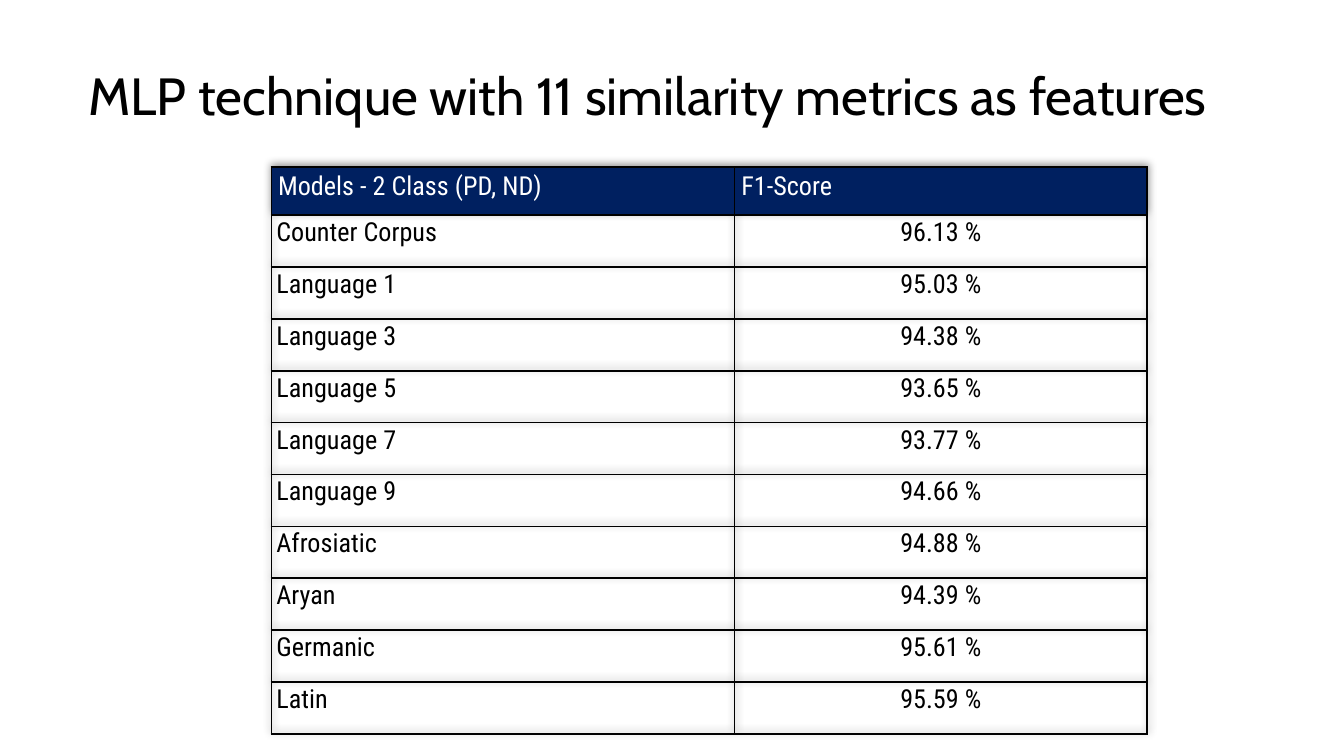
from lxml import etree
from pptx import Presentation
from pptx.dml.color import RGBColor
from pptx.enum.text import MSO_ANCHOR as Anchor, PP_ALIGN as Align
from pptx.oxml import parse_xml
from pptx.oxml.ns import nsdecls, qn
from pptx.util import Pt

BLACK = RGBColor(0x00, 0x00, 0x00)
WHITE = RGBColor(0xFF, 0xFF, 0xFF)
NAVY = RGBColor(0x00, 0x20, 0x60)

HEADER = ("Models - 2 Class (PD, ND)", "F1-Score")
SCORES = (
    ("Counter Corpus", "96.13 %"),
    ("Language 1", "95.03 %"),
    ("Language 3", "94.38 %"),
    ("Language 5", "93.65 %"),
    ("Language 7", "93.77 %"),
    ("Language 9", "94.66 %"),
    ("Afrosiatic", "94.88 %"),
    ("Aryan", "94.39 %"),
    ("Germanic", "95.61 %"),
    ("Latin", "95.59 %"),
)


class ScoreSlide:
    """Holds the style and the current slide, and draws each kind of element."""

    title_font = {"name": "Cabin", "size": Pt(28)}
    table_font = {"name": "Roboto Condensed", "size": Pt(14)}
    header_margins = {"margin_left": Pt(3.6), "margin_right": Pt(3.6),
                      "margin_top": Pt(2.2), "margin_bottom": Pt(2.2)}
    body_margins = {"margin_left": Pt(2.7), "margin_right": Pt(2.7),
                    "margin_top": Pt(0), "margin_bottom": Pt(0)}

    def __init__(self, presentation):
        self.slide = presentation.slides.add_slide(presentation.slide_layouts[6])

    def apply(self, target, values):
        for name, value in values.items():
            setattr(target, name, value)

    def fill_paragraph(self, paragraph, text, font, color, **layout):
        paragraph.text = text
        self.apply(paragraph, layout)
        self.apply(paragraph.font, font)
        paragraph.font.color.rgb = color

    def title(self, text, left, top, width, height):
        box = self.slide.shapes.add_textbox(Pt(left), Pt(top), Pt(width), Pt(height))
        margins = {f"margin_{side}": Pt(7.2) for side in ("left", "right", "top", "bottom")}
        self.apply(box.text_frame, {"word_wrap": True, "vertical_anchor": Anchor.MIDDLE, **margins})
        self.fill_paragraph(box.text_frame.paragraphs[0], text, self.title_font, BLACK,
                            alignment=Align.CENTER)

    def border(self, cell):
        properties = cell._tc.get_or_add_tcPr()
        for index, side in enumerate(("lnL", "lnR", "lnT", "lnB")):
            line = etree.Element(qn(f"a:{side}"), w=str(Pt(1)))
            fill = etree.SubElement(line, qn("a:solidFill"))
            etree.SubElement(fill, qn("a:srgbClr"), val=str(BLACK))
            properties.insert(index, line)

    def shadow(self, table):
        table._tbl.tblPr.insert(0, parse_xml(
            f'<a:effectLst {nsdecls("a")}>'
            f'<a:outerShdw blurRad="{Pt(4)}" dist="{Pt(1.5)}" dir="16200000" rotWithShape="0">'
            f'<a:srgbClr val="{BLACK}"><a:alpha val="40000"/></a:srgbClr>'
            '</a:outerShdw></a:effectLst>'))

    def header_cell(self, cell, text):
        cell.fill.solid()
        cell.fill.fore_color.rgb = NAVY
        self.apply(cell, self.header_margins)
        self.fill_paragraph(cell.text_frame.paragraphs[0], text, self.table_font, WHITE,
                            alignment=Align.JUSTIFY)

    def body_cell(self, cell, text, alignment):
        cell.fill.background()
        self.apply(cell, self.body_margins)
        self.fill_paragraph(cell.text_frame.paragraphs[0], text, self.table_font, BLACK,
                            alignment=alignment, line_spacing=1.07)

    def table(self, header, rows, left, top, widths, header_height, row_height):
        height = header_height + row_height * len(rows)
        table = self.slide.shapes.add_table(
            len(rows) + 1, len(widths), Pt(left), Pt(top), Pt(sum(widths)), Pt(height)).table
        self.apply(table, {"first_row": False, "horz_banding": False})
        for column, width in zip(table.columns, widths):
            column.width = Pt(width)
        for row in table.rows:
            row.height = Pt(row_height)
        table.rows[0].height = Pt(header_height)
        for column, text in enumerate(header):
            self.header_cell(table.cell(0, column), text)
        for index, row in enumerate(rows, start=1):
            for column, (text, alignment) in enumerate(zip(row, (Align.LEFT, Align.CENTER))):
                self.body_cell(table.cell(index, column), text, alignment)
        for cell in table.iter_cells():
            self.border(cell)
        self.shadow(table)


def main():
    presentation = Presentation()
    presentation.slide_width, presentation.slide_height = Pt(720), Pt(405)
    slide = ScoreSlide(presentation)
    slide.table(HEADER, SCORES, left=145.4, top=89.5, widths=(248.2, 221),
                header_height=25.8, row_height=27.8)
    slide.title("MLP technique with 11 similarity metrics as features",
                left=17.4, top=12.4, width=658.8, height=76.2)
    presentation.save("out.pptx")


if __name__ == "__main__":
    main()
